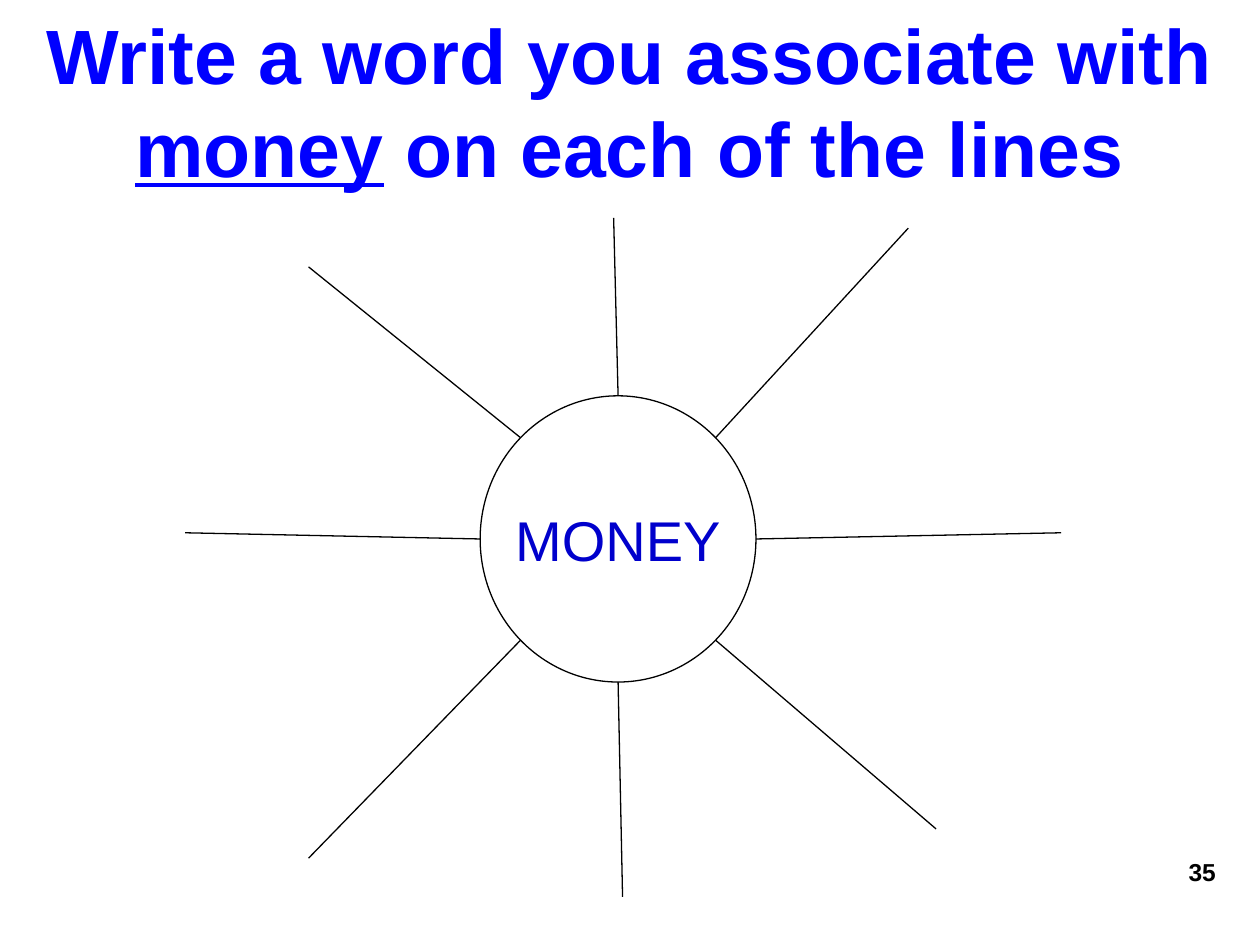
from math import cos, radians, sin

from pptx import Presentation
from pptx.dml.color import RGBColor
from pptx.enum.shapes import MSO_CONNECTOR, MSO_SHAPE
from pptx.enum.text import MSO_ANCHOR, PP_ALIGN
from pptx.oxml.ns import qn
from pptx.util import Cm, Pt

OVAL, LINE = MSO_SHAPE.OVAL, MSO_CONNECTOR.STRAIGHT
MIDDLE, TOP = MSO_ANCHOR.MIDDLE, MSO_ANCHOR.TOP
CENTER, RIGHT = PP_ALIGN.CENTER, PP_ALIGN.RIGHT
BLACK = RGBColor(0x00, 0x00, 0x00)
BLUE = RGBColor(0x00, 0x00, 0xFF)
NAVY = RGBColor(0x00, 0x00, 0xCC)

# Text and whether it is underlined
TITLE = [("Write a word you associate with ", False),
         ("money", True),
         (" on each of the lines", False)]
HUB = [("MONEY", False)]
NUMBER = [("35", False)]

# Left, top, width, height in cm
TITLE_BOX = (0, 0.43, 25.4, 3.18)
HUB_BOX = (9.68, 7.98, 5.56, 5.77)
NUMBER_BOX = (23.29, 17.15, 1.47, 1.27)

# Outer ends of the rays in cm, clockwise from the right
TIPS = [(21.39, 10.74), (18.87, 16.71), (12.55, 18.08), (6.22, 17.3),
        (3.73, 10.74), (6.22, 5.38), (12.37, 4.39), (18.31, 4.6)]


def write(shape, runs, size, color, align, anchor, bold=False, wrap=True):
    frame = shape.text_frame
    frame.word_wrap = wrap
    frame.vertical_anchor = anchor
    para = frame.paragraphs[0]
    para.alignment = align
    font = para.font
    font.name, font.size, font.bold = "Arial", Pt(size), bold
    font.color.rgb = color
    for text, under in runs:
        run = para.add_run()
        run.text = text
        if under:
            run.font.underline = True


def stroke(shape):
    shape.line.color.rgb = BLACK
    shape.line.width = Pt(0.75)


prs = Presentation()
prs.slide_width, prs.slide_height = Cm(25.4), Cm(19.05)
slide = prs.slides.add_slide(prs.slide_layouts[6])
shapes = slide.shapes

hub = shapes.add_shape(OVAL, *map(Cm, HUB_BOX))
hub.shadow.inherit = False
hub.fill.background()
stroke(hub)
write(hub, HUB, 32, NAVY, CENTER, MIDDLE, wrap=False)

# Rays leave the rim of the hub at equal angles
left, top, width, height = HUB_BOX
for i, (x, y) in enumerate(TIPS):
    angle = radians(i * 360 / len(TIPS))
    rim_x = left + width / 2 * (1 + cos(angle))
    rim_y = top + height / 2 * (1 + sin(angle))
    ray = shapes.add_connector(LINE, Cm(rim_x), Cm(rim_y), Cm(x), Cm(y))
    stroke(ray)
    props = ray._element.spPr
    props.append(props.makeelement(qn("a:effectLst"), {}))

title = shapes.add_textbox(*map(Cm, TITLE_BOX))
write(title, TITLE, 44, BLUE, CENTER, MIDDLE, bold=True)

number = shapes.add_textbox(*map(Cm, NUMBER_BOX))
write(number, NUMBER, 14, BLACK, RIGHT, TOP, bold=True)

prs.save("out.pptx")
